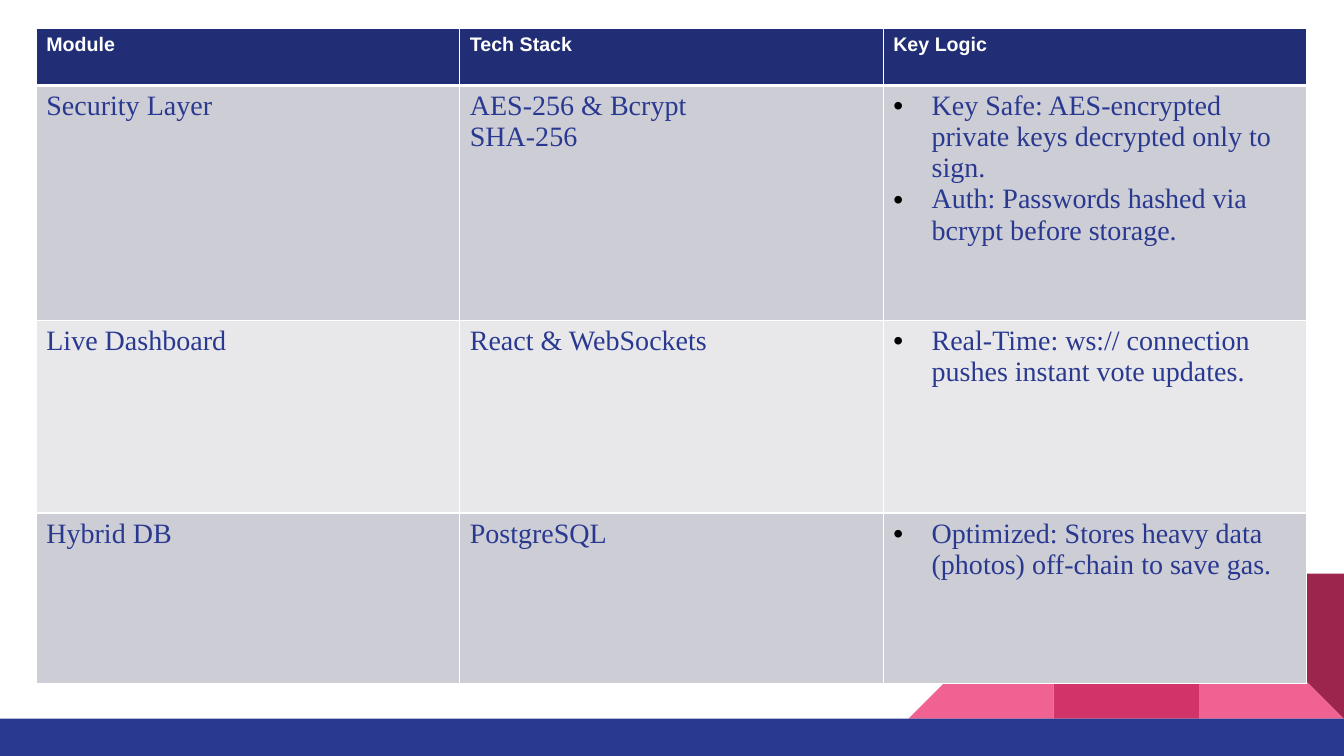
import pptx
import pptx.dml.color
import pptx.enum.shapes
import pptx.oxml.ns
import pptx.util
import lxml.etree

HEADER = ["Module", "Tech Stack", "Key Logic"]
MODULES = [
    (["Security Layer"], ["AES-256 & Bcrypt", "SHA-256"],
     ["Key Safe: AES-encrypted private keys decrypted only to sign.",
      "Auth: Passwords hashed via bcrypt before storage."]),
    (["Live Dashboard"], ["React & WebSockets"],
     ["Real-Time: ws:// connection pushes instant vote updates."]),
    (["Hybrid DB"], ["PostgreSQL"],
     ["Optimized: Stores heavy data (photos) off-chain to save gas."]),
]
ROW_HEIGHTS = [0.57, 2.33, 1.91, 1.69]
COL_WIDTH = 4.2
TABLE_LEFT, TABLE_TOP = 0.36, 0.28
SLIDE_W, SLIDE_H = 13.33, 7.5
FOOTER_H = 0.37
TILE = 1.44
LOGIC_COL = 2
BULLET_INDENT = 0.38

THEME = {
    "navy": "212D74", "blue": "2A3990", "white": "FFFFFF", "black": "000000",
    "bands": ["CDCDD6", "E8E8EB"],
    "pink": "F06292", "rose": "D23369", "wine": "9C254D",
    "head_font": "Arial", "head_size": 14,
    "body_font": "Times New Roman", "body_size": 20,
    "rule": 1, "head_rule": 3,
}

Inches = pptx.util.Inches
SHAPE = pptx.enum.shapes.MSO_SHAPE


def rgb(color):
    return pptx.dml.color.RGBColor.from_string(color)


def add_element(parent, tag, **attrs):
    return lxml.etree.SubElement(parent, pptx.oxml.ns.qn(tag), attrs)


def add_block(slide, kind, left, top, width, height, color, rotation=0):
    sp = slide.shapes.add_shape(kind, Inches(left), Inches(top),
                                Inches(width), Inches(height))
    sp.rotation = rotation
    sp.shadow.inherit = False
    sp.fill.solid()
    sp.fill.fore_color.rgb = rgb(color)
    sp.line.fill.background()


def add_footer(slide):
    bar_top = SLIDE_H - FOOTER_H
    right = SLIDE_W - TILE
    tiles = [
        (SHAPE.RIGHT_TRIANGLE, right, "pink", 0),
        (SHAPE.RIGHT_TRIANGLE, right - 2 * TILE, "pink", 270),
        (SHAPE.RECTANGLE, right - TILE, "rose", 0),
        (SHAPE.RIGHT_TRIANGLE, right, "wine", 180),
    ]
    for kind, left, color, rotation in tiles:
        add_block(slide, kind, left, bar_top - TILE, TILE, TILE,
                  THEME[color], rotation)
    add_block(slide, SHAPE.RECTANGLE, 0, bar_top, SLIDE_W, FOOTER_H,
              THEME["blue"])


def add_bullet(p):
    pPr = p._p.get_or_add_pPr()
    indent = Inches(BULLET_INDENT)
    pPr.set("marL", str(indent))
    pPr.set("indent", str(-indent))
    color = add_element(pPr, "a:buClr")
    add_element(color, "a:srgbClr", val=THEME["black"])
    add_element(pPr, "a:buFont", typeface="Arial")
    add_element(pPr, "a:buChar", char="•")


def add_borders(cell, widths):
    tcPr = cell._tc.get_or_add_tcPr()
    for side, width in widths.items():
        line = add_element(tcPr, "a:ln" + side, w=str(pptx.util.Pt(width)))
        fill = add_element(line, "a:solidFill")
        add_element(fill, "a:srgbClr", val=THEME["white"])


def fill_cell(cell, lines, role, color, fill, bold, bullets):
    tf = cell.text_frame
    tf.text = "\n".join(lines)
    for p in tf.paragraphs:
        if bullets:
            add_bullet(p)
        for r in p.runs:
            r.font.name = THEME[role + "_font"]
            r.font.size = pptx.util.Pt(THEME[role + "_size"])
            r.font.bold = bold
            r.font.color.rgb = rgb(color)
    cell.fill.solid()
    cell.fill.fore_color.rgb = rgb(fill)


def add_module_table(slide):
    rows = [[[title] for title in HEADER]] + MODULES
    table = slide.shapes.add_table(
        len(rows), len(HEADER), Inches(TABLE_LEFT), Inches(TABLE_TOP),
        Inches(COL_WIDTH * len(HEADER)), Inches(sum(ROW_HEIGHTS))).table
    for column in table.columns:
        column.width = Inches(COL_WIDTH)
    for i, (row, height) in enumerate(zip(rows, ROW_HEIGHTS)):
        table.rows[i].height = Inches(height)
        head = i == 0
        role = "head" if head else "body"
        color = THEME["white"] if head else THEME["blue"]
        fill = THEME["navy"] if head else THEME["bands"][(i - 1) % 2]
        rule = THEME["rule"]
        widths = {"L": rule, "R": rule,
                  "T": THEME["head_rule"] if i == 1 else rule,
                  "B": THEME["head_rule"] if head else rule}
        for j, lines in enumerate(row):
            cell = table.cell(i, j)
            add_borders(cell, widths)
            fill_cell(cell, lines, role, color, fill, head,
                      not head and j == LOGIC_COL)


def main():
    prs = pptx.Presentation()
    prs.slide_width = Inches(SLIDE_W)
    prs.slide_height = Inches(SLIDE_H)
    slide = prs.slides.add_slide(prs.slide_layouts[6])
    add_footer(slide)
    add_module_table(slide)
    prs.save("out.pptx")


if __name__ == "__main__":
    main()
